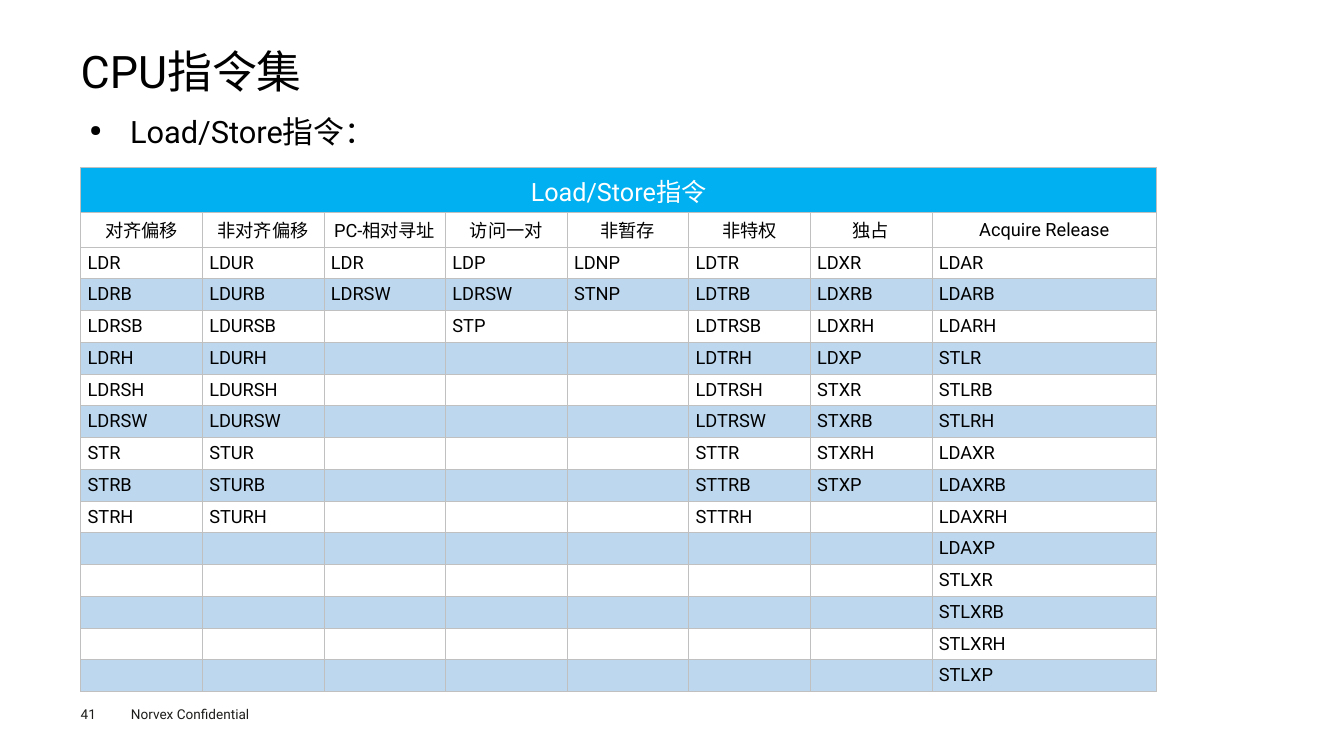
from itertools import zip_longest

from lxml import etree
from pptx import Presentation
from pptx.dml.color import RGBColor
from pptx.enum.text import MSO_ANCHOR, PP_ALIGN
from pptx.oxml.ns import qn
from pptx.util import Inches, Pt

LEFT, CENTER, JUSTIFY = PP_ALIGN.LEFT, PP_ALIGN.CENTER, PP_ALIGN.JUSTIFY
MIDDLE = MSO_ANCHOR.MIDDLE

# Content
TITLE = "CPU指令集"
TOPIC = "Load/Store指令："
PAGE_NUMBER = "41"
FOOTER = "Norvex Confidential"
TABLE_HEADING = "Load/Store指令"
INSTRUCTIONS = {
    "对齐偏移": "LDR LDRB LDRSB LDRH LDRSH LDRSW STR STRB STRH",
    "非对齐偏移": "LDUR LDURB LDURSB LDURH LDURSH LDURSW STUR STURB STURH",
    "PC-相对寻址": "LDR LDRSW",
    "访问一对": "LDP LDRSW STP",
    "非暂存": "LDNP STNP",
    "非特权": "LDTR LDTRB LDTRSB LDTRH LDTRSH LDTRSW STTR STTRB STTRH",
    "独占": "LDXR LDXRB LDXRH LDXP STXR STXRB STXRH STXP",
    "Acquire Release": "LDAR LDARB LDARH STLR STLRB STLRH LDAXR LDAXRB LDAXRH "
                       "LDAXP STLXR STLXRB STLXRH STLXP",
}

# Style
FONT = "Roboto"
COLORS = {"text": "000000", "footer": "1D1D1B", "heading": "00B0F0",
          "white": "FFFFFF", "band": "BDD7EE", "border": "C0C0C0"}
TABLE_AT = (0.8, 1.66)
COLUMN_WIDTH, LAST_COLUMN_WIDTH = 1.206, 2.23
HEADING_HEIGHT, GROUP_HEIGHT, BODY_HEIGHT = 0.45, 0.34, 4.41


def rgb(color):
    return RGBColor.from_string(COLORS[color])


def style_run(run, size, color):
    run.font.name = FONT
    run.font.size = Pt(size)
    run.font.color.rgb = rgb(color)


def add_text(slide, text, box, size, color, margins=(0, 0)):
    frame = slide.shapes.add_textbox(*map(Inches, box)).text_frame
    frame.word_wrap = True
    frame.margin_left = frame.margin_right = Inches(margins[0])
    frame.margin_top = frame.margin_bottom = Inches(margins[1])
    frame.text = text
    paragraph = frame.paragraphs[0]
    style_run(paragraph.runs[0], size, color)
    return paragraph


def add_bullet(paragraph, indent):
    properties = paragraph._p.get_or_add_pPr()
    properties.set("marL", str(Inches(indent)))
    properties.set("indent", str(-Inches(indent)))
    etree.SubElement(properties, qn("a:buSzPct"), val="50000")
    etree.SubElement(properties, qn("a:buChar"), char="●")


def add_borders(cell):
    properties = cell._tc.get_or_add_tcPr()
    for position, side in enumerate("LRTB"):
        line = etree.Element(qn(f"a:ln{side}"), w=str(Pt(0.38)))
        fill = etree.SubElement(line, qn("a:solidFill"))
        etree.SubElement(fill, qn("a:srgbClr"), val=COLORS["border"])
        properties.insert(position, line)


def fill_cell(cell, text, align, size, color, fill):
    cell.margin_left = cell.margin_right = Inches(0.07)
    cell.margin_top = cell.margin_bottom = Inches(0.04)
    cell.vertical_anchor = MIDDLE
    add_borders(cell)
    cell.fill.solid()
    cell.fill.fore_color.rgb = rgb(fill)
    paragraph = cell.text_frame.paragraphs[0]
    if text:
        paragraph.text = text
        paragraph.alignment = align
        style_run(paragraph.runs[0], size, color)
    else:  # keeps an empty row from growing to the default text size
        etree.SubElement(paragraph._p, qn("a:endParaRPr"), sz=str(size * 100))


def add_instruction_table(slide):
    groups = list(INSTRUCTIONS)
    body = list(zip_longest(*(names.split() for names in INSTRUCTIONS.values()),
                            fillvalue=""))
    widths = [COLUMN_WIDTH] * (len(groups) - 1) + [LAST_COLUMN_WIDTH]
    heights = [HEADING_HEIGHT, GROUP_HEIGHT] + [BODY_HEIGHT / len(body)] * len(body)
    size = (sum(widths), sum(heights))
    table = slide.shapes.add_table(len(heights), len(widths),
                                   *map(Inches, TABLE_AT + size)).table
    table.first_row = table.horz_banding = False
    for column, width in zip(table.columns, widths):
        column.width = Inches(width)
    for row, height in zip(table.rows, heights):
        row.height = Inches(height)

    # Heading across all columns
    table.cell(0, 0).merge(table.cell(0, len(groups) - 1))
    for column in range(len(groups)):
        text = "" if column else TABLE_HEADING
        fill_cell(table.cell(0, column), text, CENTER, 18, "white", "heading")

    # Group names, then banded instruction rows
    for row, names in enumerate([groups] + body, start=1):
        align = CENTER if row == 1 else LEFT
        fill = "band" if row > 1 and row % 2 else "white"
        for column, name in enumerate(names):
            fill_cell(table.cell(row, column), name, align, 13, "text", fill)


def main():
    deck = Presentation()
    deck.slide_width, deck.slide_height = Inches(13.33), Inches(7.5)
    slide = deck.slides.add_slide(deck.slide_layouts[6])

    # Footer
    add_text(slide, FOOTER, (1.2, 6.95, 1.6, 0.27), 9.7, "footer", (0.1, 0.05))
    add_text(slide, PAGE_NUMBER, (0.8, 7, 0.55, 0.16), 9.7, "footer")

    # Title and topic
    title = add_text(slide, TITLE, (0.8, 0.49, 11.73, 0.53), 32, "text")
    title.line_spacing = 0.9
    topic = add_text(slide, TOPIC, (0.8, 1.03, 11.73, 5.34), 22, "text", (0.09, 0.04))
    topic.alignment = JUSTIFY
    topic.line_spacing = Pt(30)
    add_bullet(topic, 0.4)

    add_instruction_table(slide)
    deck.save("out.pptx")


if __name__ == "__main__":
    main()
